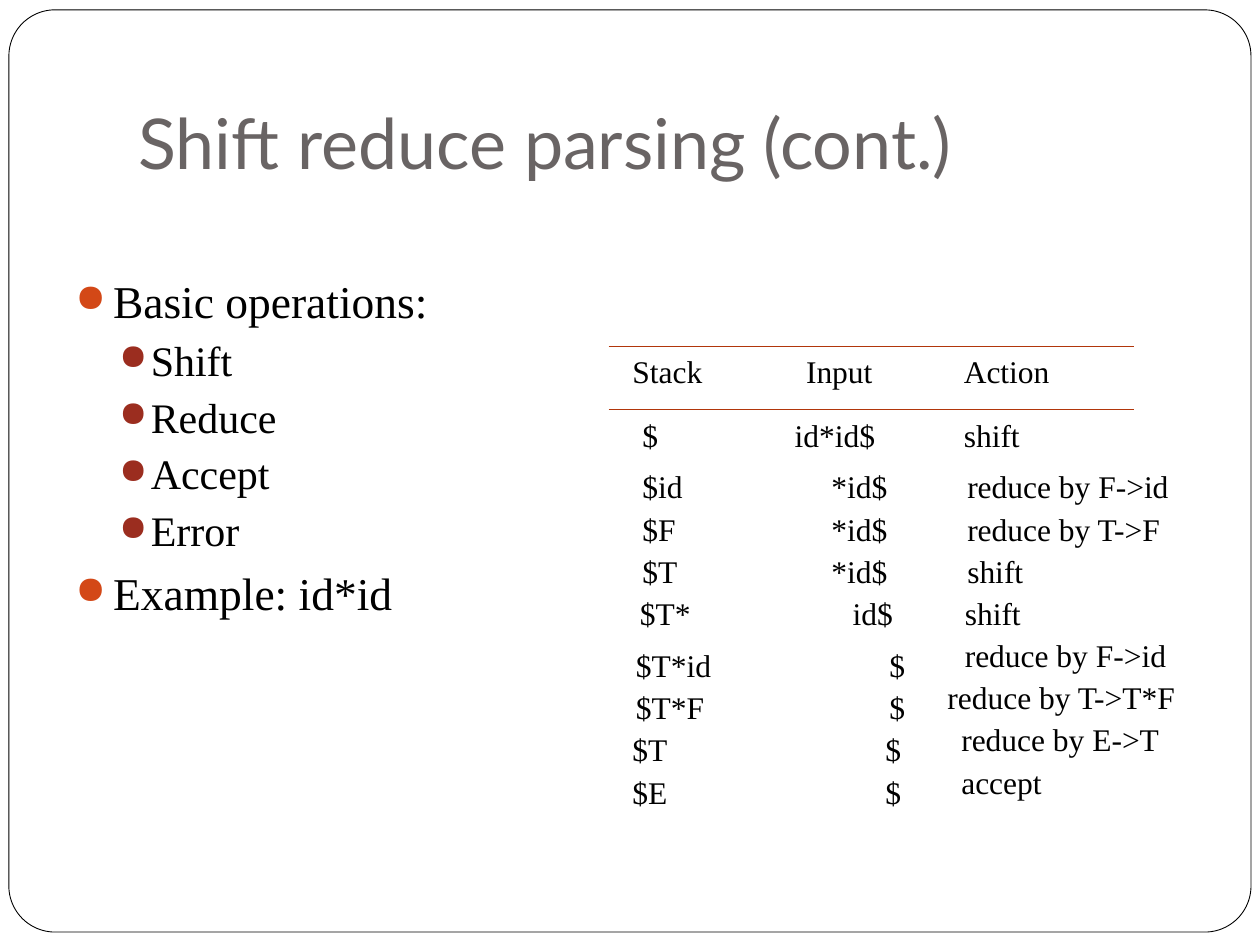
from lxml.etree import SubElement
from pptx import Presentation
from pptx.dml.color import RGBColor
from pptx.enum.shapes import MSO_CONNECTOR as CONN, MSO_SHAPE as SHAPE
from pptx.enum.text import MSO_ANCHOR as ANCHOR
from pptx.oxml.ns import qn
from pptx.util import Cm, Pt

BLACK = RGBColor(0x00, 0x00, 0x00)
WHITE = RGBColor(0xFF, 0xFF, 0xFF)
GRAY = RGBColor(0x69, 0x64, 0x64)
ORANGE = RGBColor(0xD3, 0x48, 0x17)
RED = RGBColor(0x9B, 0x2D, 0x1F)
RULE = RGBColor(0xB1, 0x36, 0x0B)
SERIF = "Times New Roman"

OUTLINE = [
    ("Basic operations:", 0),
    ("Shift", 1),
    ("Reduce", 1),
    ("Accept", 1),
    ("Error", 1),
    ("Example: id*id", 0),
]
LEVELS = [
    dict(size=26, before=5.8, bullet=ORANGE, margin=0.76, hang=0.76),
    dict(size=24, before=3.7, bullet=RED, margin=1.52, hang=0.64),
]
HEADER = [(12.5, "Stack"), (16, "Input"), (19.18, "Action")]
STEPS = [
    [(12.7, "$"), (15.77, "id*id$"), (19.18, "shift")],
    [(12.7, "$id"), (16.51, "*id$"), (19.25, "reduce by F->id")],
    [(12.7, "$F"), (16.51, "*id$"), (19.25, "reduce by T->F")],
    [(12.7, "$T"), (16.51, "*id$"), (19.25, "shift")],
    [(12.65, "$T*"), (16.94, "id$"), (19.2, "shift")],
    [(12.57, "$T*id"), (17.68, "$"), (19.2, "reduce by F->id")],
    [(12.57, "$T*F"), (17.68, "$"), (18.85, "reduce by T->T*F")],
    [(12.5, "$T"), (17.6, "$"), (19.13, "reduce by E->T")],
    [(12.5, "$E"), (17.6, "$"), (19.13, "accept")],
]
WIDTHS = {
    "Stack": 2.41, "Input": 2.31, "Action": 2.84, "$": 0.94, "$id": 1.6,
    "id*id$": 2.69, "shift": 2.03, "*id$": 2.03, "$F": 1.42, "$T": 1.45,
    "$T*": 1.88, "id$": 1.6, "$T*id": 2.57, "$T*F": 2.36, "$E": 1.45,
    "accept": 2.69, "reduce by F->id": 5.97, "reduce by T->F": 5.74,
    "reduce by T->T*F": 6.68, "reduce by E->T": 5.97,
}
HEADER_TOP, FIRST_TOP, SECOND_TOP = 6.98, 8.26, 9.3
PITCH, DROP, DROP_FROM = 0.85, 0.2, 5


def add_box(s, x, y, w, h, anchor=ANCHOR.TOP):
    """Add an empty wrapping text box and return its text frame."""
    tf = s.shapes.add_textbox(Cm(x), Cm(y), Cm(w), Cm(h)).text_frame
    tf.word_wrap = True
    tf.vertical_anchor = anchor
    return tf


def write(p, text, size=18, font=SERIF, color=BLACK):
    """Write formatted text into a paragraph."""
    r = p.add_run()
    r.text = text
    r.font.size = Pt(size)
    r.font.name = font
    r.font.color.rgb = color


def set_bullet(p, color, margin, hang):
    """Give a paragraph a coloured round bullet with a hanging indent."""
    ppr = p._p.get_or_add_pPr()
    ppr.set("marL", str(Cm(margin)))
    ppr.set("indent", str(-Cm(hang)))
    clr = SubElement(ppr, qn("a:buClr"))
    SubElement(clr, qn("a:srgbClr"), val=str(color))
    SubElement(ppr, qn("a:buSzPct"), val="85000")
    SubElement(ppr, qn("a:buChar"), char="●")


def add_frame(s):
    """Draw the rounded border around the slide."""
    sp = s.shapes.add_shape(SHAPE.ROUNDED_RECTANGLE, Cm(0.18), Cm(0.2), Cm(25.04), Cm(18.59))
    sp.adjustments[0] = 0.05
    sp.shadow.inherit = False
    sp.fill.solid()
    sp.fill.fore_color.rgb = WHITE
    sp.line.color.rgb = BLACK
    sp.line.width = Pt(0.5)


def add_title(s, text):
    """Add the slide title."""
    tf = add_box(s, 2.54, 0.76, 21.59, 3.18, ANCHOR.BOTTOM)
    tf.margin_bottom = Cm(0.25)
    write(tf.paragraphs[0], text, size=40, font="Lato", color=GRAY)


def add_outline(s):
    """Add the two-level bullet list."""
    tf = add_box(s, 1.27, 5.38, 9.32, 12.19)
    for i, (text, level) in enumerate(OUTLINE):
        p = tf.add_paragraph() if i else tf.paragraphs[0]
        style = LEVELS[level]
        p.level = level
        p.space_before = Pt(style["before"] if i else 0)
        set_bullet(p, style["bullet"], style["margin"], style["hang"])
        write(p, text, size=style["size"])


def add_rule(s, y):
    """Draw a horizontal rule of the trace."""
    ln = s.shapes.add_connector(CONN.STRAIGHT, Cm(12.27), Cm(y), Cm(22.86), Cm(y))
    ln.line.color.rgb = RULE
    ln.line.width = Pt(0.75)
    SubElement(ln._element.spPr, qn("a:effectLst"))


def add_label(s, x, y, text):
    """Add one entry of the trace."""
    write(add_box(s, x, y, WIDTHS[text], 1.3).paragraphs[0], text)


def add_trace(s):
    """Lay out the header and the steps of the parse."""
    for y in (HEADER_TOP, FIRST_TOP):
        add_rule(s, y)
    for x, text in HEADER:
        add_label(s, x, HEADER_TOP, text)
    for i, step in enumerate(STEPS):
        top = SECOND_TOP + PITCH * (i - 1) if i else FIRST_TOP
        drop = DROP if i >= DROP_FROM else 0
        for (x, text), shift in zip(step, (drop, drop, 0)):
            add_label(s, x, top + shift, text)


def main():
    """Build and save the slide."""
    prs = Presentation()
    prs.slide_width, prs.slide_height = Cm(25.4), Cm(19.05)
    s = prs.slides.add_slide(prs.slide_layouts[6])
    add_frame(s)
    add_title(s, "Shift reduce parsing (cont.)")
    add_outline(s)
    add_trace(s)
    prs.save("out.pptx")


if __name__ == "__main__":
    main()
